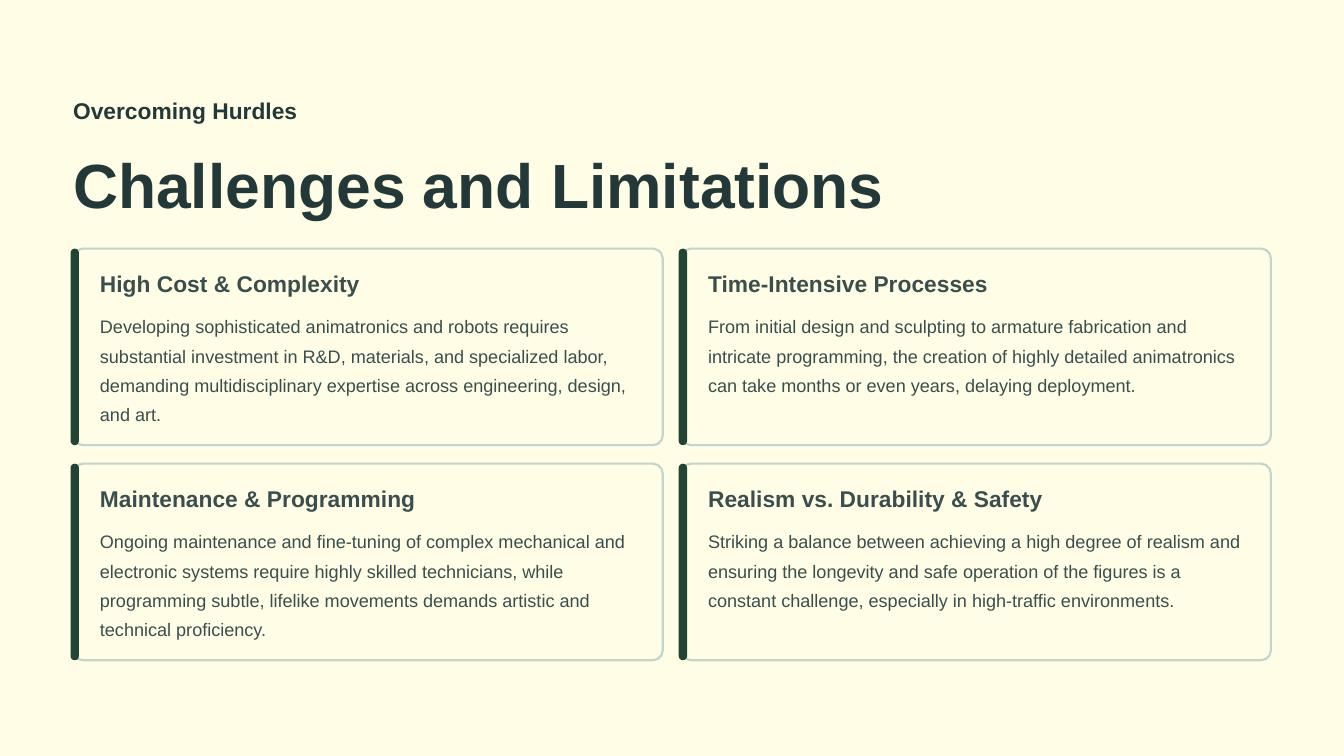
from pptx import Presentation
from pptx.dml.color import RGBColor
from pptx.enum import shapes, text
from pptx.util import Inches, Pt

CREAM = RGBColor(0xFF, 0xFD, 0xE6)
INK = RGBColor(0x23, 0x39, 0x39)
SLATE = RGBColor(0x3B, 0x4E, 0x4E)
GREEN = RGBColor(0x22, 0x44, 0x35)
SAGE = RGBColor(0xC3, 0xD4, 0xCC)

EYEBROW = {"size": Pt(19.5), "bold": True, "color": INK, "spacing": Pt(24)}
TITLE = {"size": Pt(53.5), "bold": True, "color": INK, "spacing": Pt(67)}
HEADING = {"size": Pt(19.5), "bold": True, "color": SLATE, "spacing": Pt(24)}
BODY = {"size": Pt(15.5), "bold": False, "color": SLATE, "spacing": Pt(25)}

LEFT, TOP = 0.87, 2.96
CARD_W, CARD_H = 7.02, 2.34
GAP = 0.22
COLUMNS = 2

CHALLENGES = [
    ("High Cost & Complexity",
     "Developing sophisticated animatronics and robots requires substantial "
     "investment in R&D, materials, and specialized labor, demanding "
     "multidisciplinary expertise across engineering, design, and art."),
    ("Time-Intensive Processes",
     "From initial design and sculpting to armature fabrication and intricate "
     "programming, the creation of highly detailed animatronics can take months "
     "or even years, delaying deployment."),
    ("Maintenance & Programming",
     "Ongoing maintenance and fine-tuning of complex mechanical and electronic "
     "systems require highly skilled technicians, while programming subtle, "
     "lifelike movements demands artistic and technical proficiency."),
    ("Realism vs. Durability & Safety",
     "Striking a balance between achieving a high degree of realism and ensuring "
     "the longevity and safe operation of the figures is a constant challenge, "
     "especially in high-traffic environments."),
]


def write(sp, content, style):
    """Fill a text shape with one left-aligned paragraph and no insets."""
    tf = sp.text_frame
    frame = {"margin_left": 0, "margin_top": 0, "margin_right": 0,
             "margin_bottom": 0, "word_wrap": True,
             "auto_size": text.MSO_AUTO_SIZE.NONE,
             "vertical_anchor": text.MSO_ANCHOR.TOP}
    for name, value in frame.items():
        setattr(tf, name, value)
    p = tf.paragraphs[0]
    p.alignment = text.PP_ALIGN.LEFT
    p.line_spacing = style["spacing"]
    r = p.add_run()
    r.text = content
    for name, value in {"name": "Arial", "size": style["size"],
                        "bold": style["bold"]}.items():
        setattr(r.font, name, value)
    r.font.color.rgb = style["color"]


def add_text(s, x, y, w, h, content, style):
    sp = s.shapes.add_textbox(Inches(x), Inches(y), Inches(w), Inches(h))
    write(sp, content, style)


def add_rounded(s, x, y, w, h, radius, fill, line=None):
    sp = s.shapes.add_shape(shapes.MSO_SHAPE.ROUNDED_RECTANGLE,
                            Inches(x), Inches(y), Inches(w), Inches(h))
    sp.adjustments[0] = radius
    sp.shadow.inherit = False
    sp.fill.solid()
    sp.fill.fore_color.rgb = fill
    if line is None:
        sp.line.fill.background()
    else:
        sp.line.color.rgb = line
        sp.line.width = Pt(1.8)


def add_card(s, x, y, heading, body):
    add_rounded(s, x, y, CARD_W, CARD_H, 0.05, CREAM, SAGE)
    add_rounded(s, x - 0.03, y, 0.1, CARD_H, 0.5, GREEN)
    add_text(s, x + 0.32, y + 0.24, 6.46, 0.34, heading, HEADING)
    add_text(s, x + 0.32, y + 0.71, 6.46, 1.39, body, BODY)


def add_title(s, x, y, w, h, content):
    sp = s.shapes.title
    for name, value in {"left": x, "top": y, "width": w, "height": h}.items():
        setattr(sp, name, Inches(value))
    write(sp, content, TITLE)


def main():
    prs = Presentation()
    prs.slide_width, prs.slide_height = Inches(16), Inches(9)
    s = prs.slides.add_slide(prs.slide_layouts.get_by_name("Title Only"))
    s.background.fill.solid()
    s.background.fill.fore_color.rgb = CREAM

    add_text(s, LEFT, 1.14, 3.05, 0.34, "Overcoming Hurdles", EYEBROW)
    add_title(s, LEFT, 1.7, 11.18, 0.94, "Challenges and Limitations")
    for i, (heading, body) in enumerate(CHALLENGES):
        row, col = divmod(i, COLUMNS)
        add_card(s, LEFT + col * (CARD_W + GAP), TOP + row * (CARD_H + GAP),
                 heading, body)
    prs.save("out.pptx")


if __name__ == "__main__":
    main()
